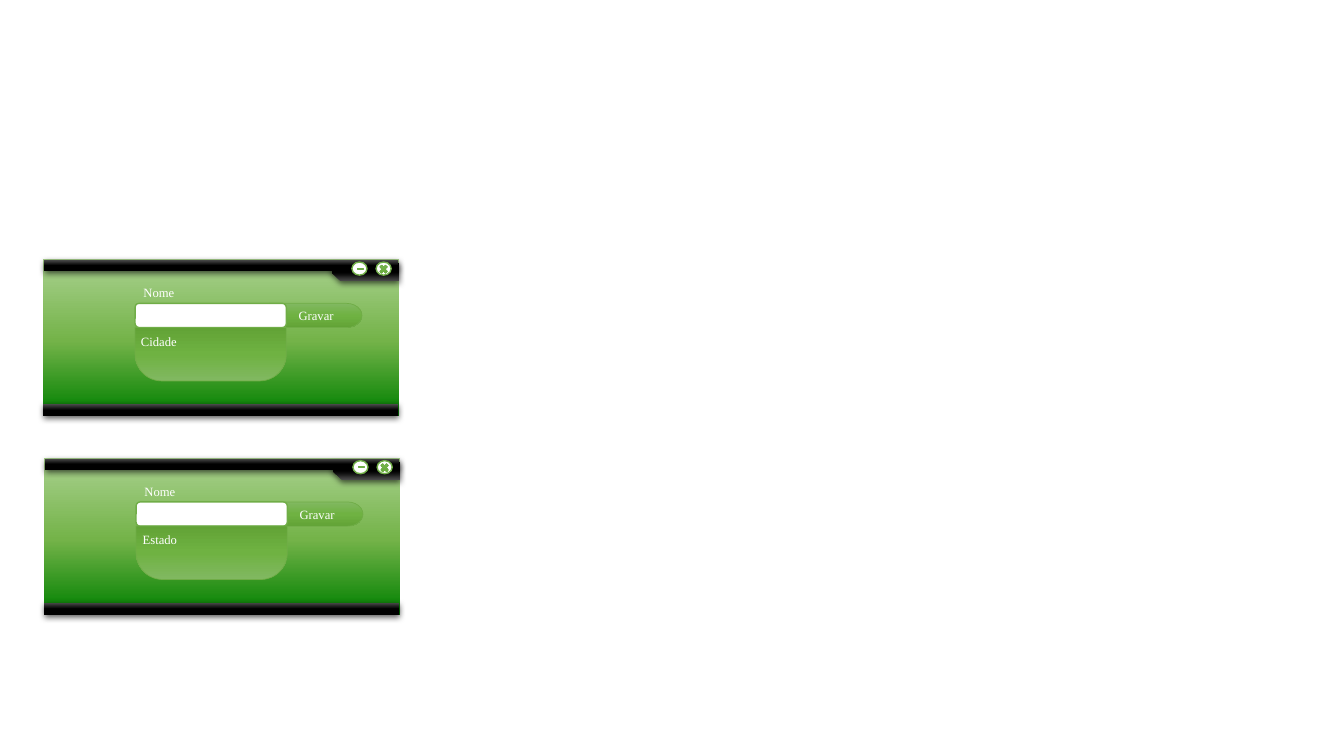
import pptx
import pptx.util
import pptx.dml.color
import pptx.enum.shapes
import pptx.enum.text
import pptx.oxml.ns
from lxml import etree

Inches, Pt = pptx.util.Inches, pptx.util.Pt
RGBColor = pptx.dml.color.RGBColor
SHAPE = pptx.enum.shapes.MSO_SHAPE
qn = pptx.oxml.ns.qn

WHITE = RGBColor(0xFF, 0xFF, 0xFF)
BLACK = RGBColor(0x00, 0x00, 0x00)
GREY = RGBColor(0x4B, 0x4B, 0x4B)
GREEN = RGBColor(0x70, 0xAD, 0x47)

# Gradients: stops (percent, colour), then clockwise angle in degrees
PANEL = ([(0, RGBColor(0x00, 0x80, 0x00)), (48, RGBColor(0x74, 0xB3, 0x49)),
          (100, RGBColor(0xA9, 0xD1, 0x8E))], 270)
BAR = ([(0, GREY), (50, BLACK), (100, BLACK)], 90)
BUTTON = ([(0, RGBColor(0x81, 0xB8, 0x61)), (50, RGBColor(0x6F, 0xB2, 0x42)),
           (100, RGBColor(0x62, 0xA3, 0x36))], 90)


def add_color(parent, color):
    return etree.SubElement(parent, qn("a:srgbClr"), val=str(color))


def set_gradient(sp, stops, angle):
    sp.fill.gradient()
    sp.fill.gradient_angle = 360 - angle
    stop_list = sp._element.spPr.find(".//" + qn("a:gsLst"))
    for stop in list(stop_list):
        stop_list.remove(stop)
    for percent, color in stops:
        add_color(etree.SubElement(stop_list, qn("a:gs"), pos=str(percent * 1000)), color)


def set_shadow(sp):
    effects = sp._element.spPr.find(qn("a:effectLst"))
    shadow = etree.SubElement(
        effects, qn("a:outerShdw"), blurRad=str(Pt(4.5)), dist=str(Pt(1.5)),
        dir=str(90 * 60000), algn="t", rotWithShape="0")
    etree.SubElement(add_color(shadow, BLACK), qn("a:alpha"), val="63000")


def add_shape(shapes, kind, x, y, w, h, fill, line=None, shadow=False,
              flip=None, rotation=0, adjust=()):
    sp = shapes.add_shape(kind, Inches(x), Inches(y), Inches(w), Inches(h))
    sp.shadow.inherit = False
    if isinstance(fill, tuple) and not isinstance(fill, RGBColor):
        set_gradient(sp, *fill)
    else:
        sp.fill.solid()
        sp.fill.fore_color.rgb = fill
    if line:
        sp.line.color.rgb = GREEN
        sp.line.width = Pt(line)
    else:
        sp.line.fill.background()
    if shadow:
        set_shadow(sp)
    if flip:
        sp._element.spPr.xfrm.set(flip, "1")
    sp.rotation = rotation
    for i, value in enumerate(adjust):
        sp.adjustments[i] = value
    return sp


def add_text(shapes, text, x, y, w=0.81, h=0.25, size=9, color=WHITE,
             font="Times New Roman", align=pptx.enum.text.PP_ALIGN.CENTER):
    sp = shapes.add_textbox(Inches(x), Inches(y), Inches(w), Inches(h))
    tf = sp.text_frame
    tf.word_wrap = True
    tf.auto_size = pptx.enum.text.MSO_AUTO_SIZE.SHAPE_TO_FIT_TEXT
    p = tf.paragraphs[0]
    p.alignment = align
    r = p.add_run()
    r.text = text
    r.font.size = Pt(size)
    r.font.name = font
    r.font.color.rgb = color
    return sp


def add_frame(shapes, x, y):
    # Green panel with its black corner tab and bars
    add_shape(shapes, SHAPE.RECTANGLE, x, y, 3.53, 1.56, PANEL)
    add_shape(shapes, SHAPE.SNIP_1_RECTANGLE, x + 2.86, y + 0.04, 0.67, 0.18, BAR,
              shadow=True, rotation=180, adjust=[0.5])
    add_shape(shapes, SHAPE.RECTANGLE, x, y + 1.44, 3.52, 0.12, BAR, shadow=True)
    add_shape(shapes, SHAPE.RECTANGLE, x + 0.01, y + 0.01, 3.51, 0.11, BAR, shadow=True)


def add_window_buttons(shapes, x, y):
    # Minimise and close
    for dx in (3.06, 3.3):
        add_shape(shapes, SHAPE.OVAL, x + dx, y + 0.03, 0.15, 0.13, WHITE, line=1)
    add_shape(shapes, SHAPE.MATH_MINUS, x + 3.11, y + 0.07, 0.07, 0.05, BUTTON, line=0.5)
    add_shape(shapes, SHAPE.MATH_MULTIPLY, x + 3.32, y + 0.04, 0.11, 0.12, BUTTON, line=0.5)


def add_form(shapes, x, y, field):
    # Save button, input box and drop-down panel
    add_shape(shapes, SHAPE.FLOWCHART_STORED_DATA, x + 2.24, y + 0.44, 0.92, 0.24,
              BUTTON, line=0.5, flip="flipH")
    add_shape(shapes, SHAPE.ROUNDED_RECTANGLE, x + 0.91, y + 0.44, 1.5, 0.24, WHITE, line=1)
    add_text(shapes, "Gravar", x + 2.3, y + 0.44)
    add_text(shapes, "Nome", x + 0.74, y + 0.21)
    add_shape(shapes, SHAPE.ROUND_2_SAME_RECTANGLE, x + 0.91, y + 0.68, 1.5, 0.53,
              BUTTON, line=0.5, flip="flipV", adjust=[0.5, 0])
    add_text(shapes, field, x + 0.74, y + 0.69)


def add_window(s, x, y, field):
    shapes = s.shapes.add_group_shape().shapes
    add_frame(shapes, x, y)
    add_window_buttons(shapes, x, y)
    add_form(shapes, x, y, field)


def main():
    prs = pptx.Presentation()
    prs.slide_width, prs.slide_height = Inches(13.33), Inches(7.5)
    s = prs.slides.add_slide(prs.slide_layouts[6])
    add_window(s, 0.43, 2.57, "Cidade")
    add_window(s, 0.44, 4.54, "Estado")
    prs.save("out.pptx")


if __name__ == "__main__":
    main()
